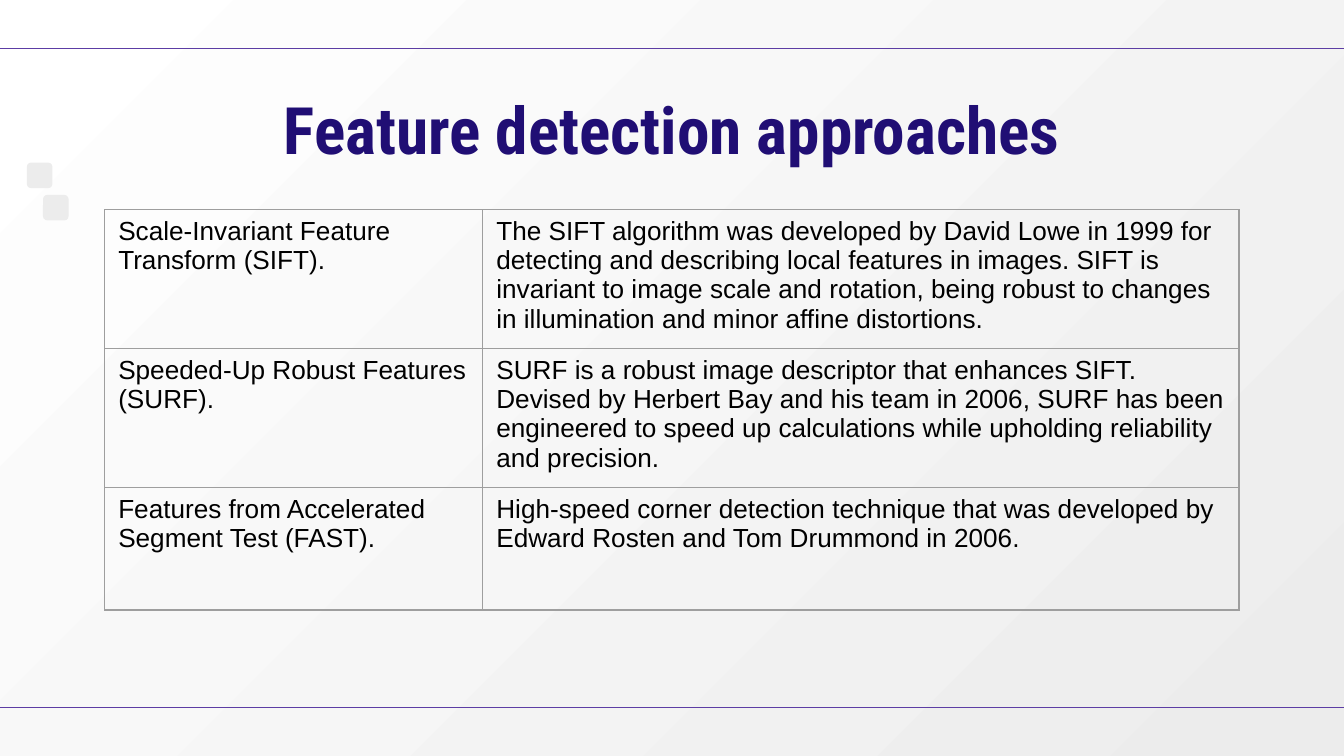
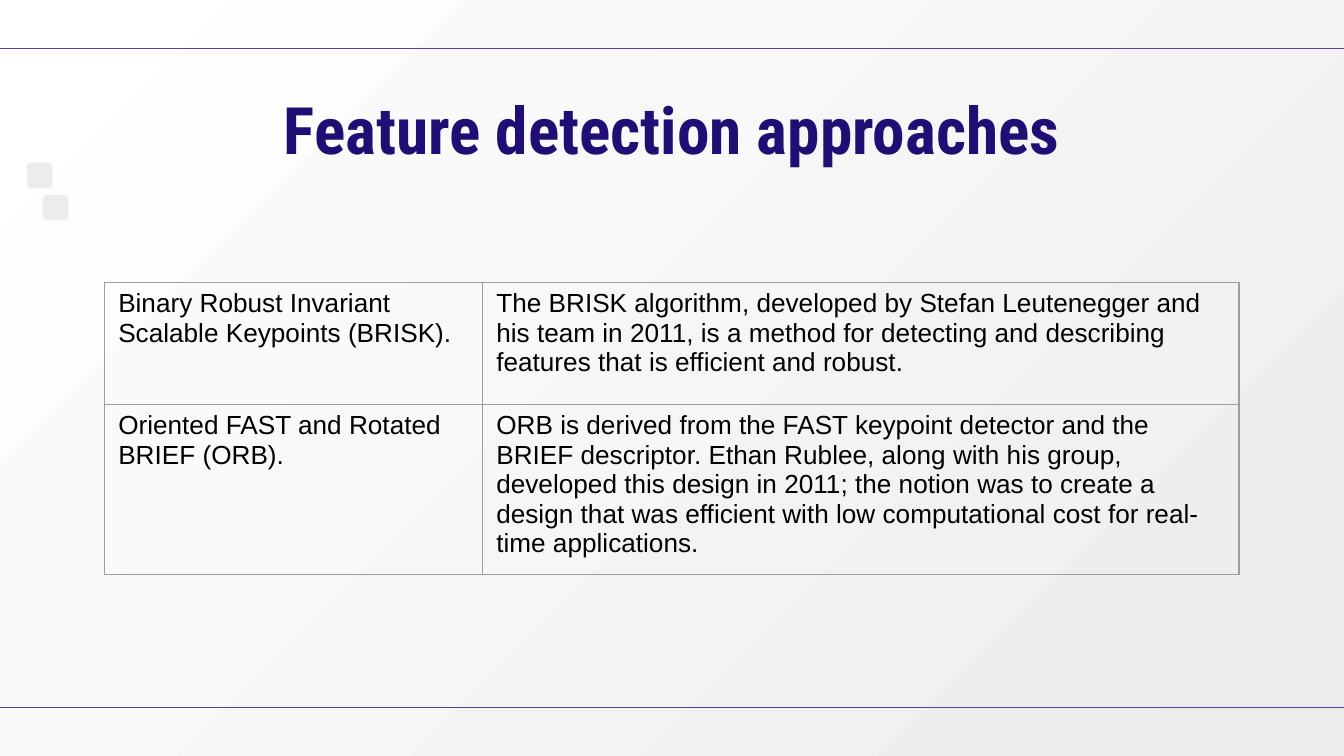
from lxml import etree
from pptx import Presentation
from pptx.dml.color import RGBColor
from pptx.enum.shapes import MSO_CONNECTOR, MSO_SHAPE
from pptx.enum.text import MSO_ANCHOR, PP_ALIGN
from pptx.oxml.ns import qn
from pptx.util import Inches, Pt

STRAIGHT = MSO_CONNECTOR.STRAIGHT
ROUNDED = MSO_SHAPE.ROUNDED_RECTANGLE
TOP = MSO_ANCHOR.TOP
CENTER = PP_ALIGN.CENTER

# Content: title, table top, rows of (height, method, description)
TITLE = "Feature detection approaches"
SLIDES = [
    {"title": TITLE, "table_top": 1.56, "rows": [
        (1.01, "Scale-Invariant Feature Transform (SIFT).",
         "The SIFT algorithm was developed by David Lowe in 1999 for detecting and "
         "describing local features in images. SIFT is invariant to image scale and "
         "rotation, being robust to changes in illumination and minor affine distortions."),
        (0.91, "Speeded-Up Robust Features (SURF).",
         "SURF is a robust image descriptor that enhances SIFT. Devised by Herbert Bay "
         "and his team in 2006, SURF has been engineered to speed up calculations while "
         "upholding reliability and precision."),
        (0.91, "Features from Accelerated Segment Test (FAST).",
         "High-speed corner detection technique that was developed by Edward Rosten and "
         "Tom Drummond in 2006."),
    ]},
    {"title": TITLE, "table_top": 2.1, "rows": [
        (0.91, "Binary Robust Invariant Scalable Keypoints (BRISK).",
         "The BRISK algorithm, developed by Stefan Leutenegger and his team in 2011, is a "
         "method for detecting and describing features that is efficient and robust."),
        (0.91, "Oriented FAST and Rotated BRIEF (ORB).",
         "ORB is derived from the FAST keypoint detector and the BRIEF descriptor. Ethan "
         "Rublee, along with his group, developed this design in 2011; the notion was to "
         "create a design that was efficient with low computational cost for real-time "
         "applications."),
    ]},
]

# Shared look
WHITE, PALE, RULE = "FFFFFF", "ECECEC", "5C3DA4"
TITLE_COLOR, BODY_COLOR, BORDER = "200E74", "000000", "9E9E9E"
TITLE_FONT, BODY_FONT = "Roboto Condensed", "Arial"
LINE_WIDTH = 0.75

# Shared geometry in inches
WIDTH = 10
HEIGHT = WIDTH * 9 / 16
MARGIN = 0.78
CONTENT_WIDTH = WIDTH - 2 * MARGIN
COLUMN_SHARES = (1 / 3, 2 / 3)
RULE_INSET = 0.36
TITLE_TOP, TITLE_HEIGHT, TITLE_INSET = 0.56, 0.59, 0.1
SQUARE = 0.19
SQUARES = [(0.32, 1.45), (0.2, 1.21)]


def color(value):
    return RGBColor.from_string(value)


def style_font(paragraph, name, size, value, bold=False):
    for run in paragraph.runs:
        run.font.name = name
        run.font.size = Pt(size)
        run.font.color.rgb = color(value)
        run.font.bold = bold


def add_frame(slide):
    """Gradient background, top and bottom rules, corner squares."""
    fill = slide.background.fill
    fill.gradient()
    fill.gradient_angle = 315
    for stop, value in zip(fill.gradient_stops, (WHITE, PALE)):
        stop.color.rgb = color(value)

    for y in (RULE_INSET, HEIGHT - RULE_INSET):
        rule = slide.shapes.add_connector(
            STRAIGHT, 0, Inches(y), Inches(WIDTH), Inches(y))
        rule.line.color.rgb = color(RULE)
        rule.line.width = Pt(LINE_WIDTH)
        etree.SubElement(rule._element.spPr, qn("a:effectLst"))

    for left, top in SQUARES:
        square = slide.shapes.add_shape(
            ROUNDED, Inches(left), Inches(top), Inches(SQUARE), Inches(SQUARE))
        square.shadow.inherit = False
        square.fill.solid()
        square.fill.fore_color.rgb = color(PALE)
        square.line.fill.background()


def add_title(slide, text):
    box = slide.shapes.add_textbox(
        Inches(MARGIN), Inches(TITLE_TOP), Inches(CONTENT_WIDTH), Inches(TITLE_HEIGHT))
    frame = box.text_frame
    frame.word_wrap = True
    frame.vertical_anchor = TOP
    frame.margin_left = frame.margin_right = Inches(TITLE_INSET)
    frame.margin_top = frame.margin_bottom = Inches(TITLE_INSET)
    frame.text = text
    paragraph = frame.paragraphs[0]
    paragraph.alignment = CENTER
    style_font(paragraph, TITLE_FONT, 35, TITLE_COLOR, bold=True)


def add_borders(cell):
    """Border lines come before the fill in the cell properties."""
    properties = cell._tc.get_or_add_tcPr()
    for index, side in enumerate(("lnL", "lnR", "lnT", "lnB")):
        line = etree.Element(qn(f"a:{side}"), w=str(Pt(LINE_WIDTH)))
        solid = etree.SubElement(line, qn("a:solidFill"))
        etree.SubElement(solid, qn("a:srgbClr"), val=BORDER)
        properties.insert(index, line)


def add_method_table(slide, top, rows):
    total = sum(height for height, *_ in rows)
    table = slide.shapes.add_table(
        len(rows), len(COLUMN_SHARES), Inches(MARGIN), Inches(top),
        Inches(CONTENT_WIDTH), Inches(total)).table
    table.first_row = table.horz_banding = False
    for column, share in zip(table.columns, COLUMN_SHARES):
        column.width = Inches(CONTENT_WIDTH * share)
    for row, (height, *texts) in zip(table.rows, rows):
        row.height = Inches(height)
        for cell, text in zip(row.cells, texts):
            cell.text_frame.text = text
            style_font(cell.text_frame.paragraphs[0], BODY_FONT, 14, BODY_COLOR)
            cell.fill.background()
            add_borders(cell)


def main():
    presentation = Presentation()
    presentation.slide_width = Inches(WIDTH)
    presentation.slide_height = Inches(HEIGHT)
    blank = presentation.slide_layouts[6]
    for content in SLIDES:
        slide = presentation.slides.add_slide(blank)
        add_frame(slide)
        add_title(slide, content["title"])
        add_method_table(slide, content["table_top"], content["rows"])
    presentation.save("out.pptx")


if __name__ == "__main__":
    main()
